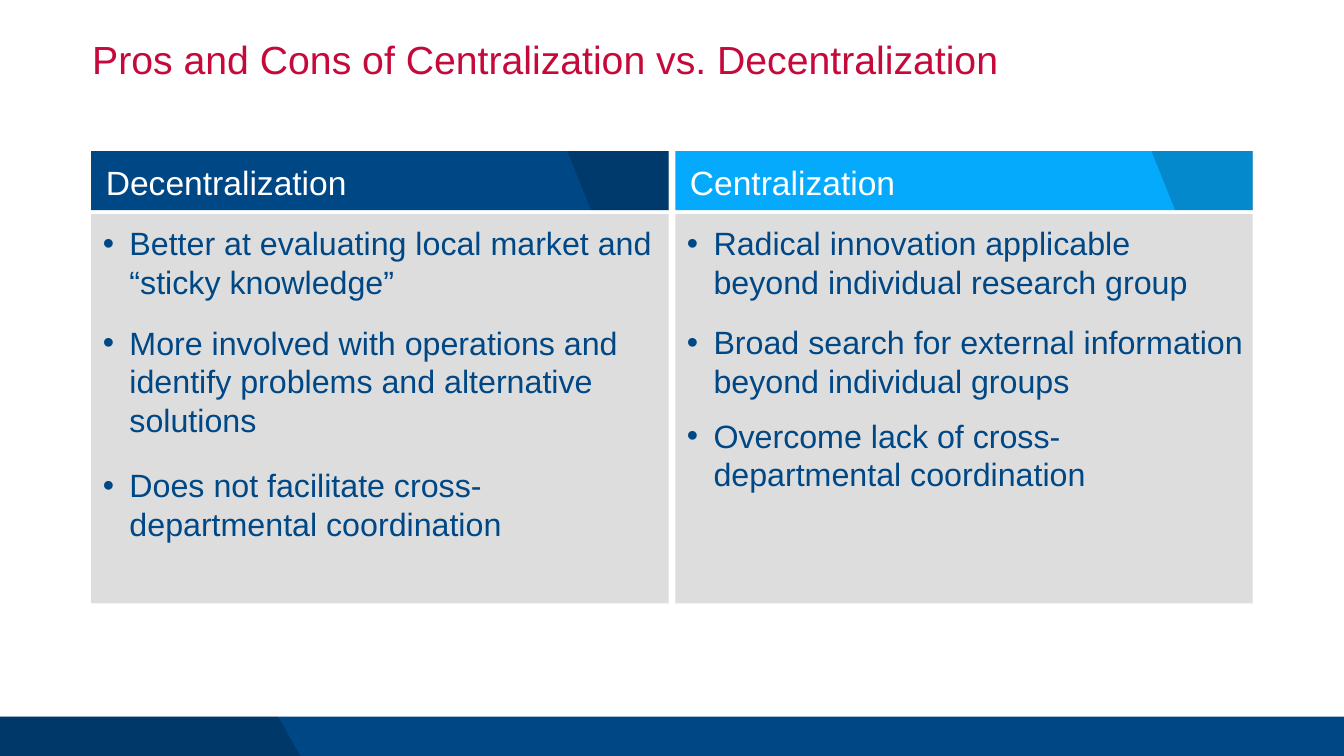
"""Build a slide comparing decentralization with centralization."""
import dataclasses

import lxml.etree
import pptx
import pptx.dml.color
import pptx.enum.shapes
import pptx.oxml.ns
import pptx.util

PX = 9144
SLIDE_WIDTH, SLIDE_HEIGHT = 2667, 1500
COLUMN_WIDTH, HEADER_TOP, HEADER_HEIGHT = 1146, 300, 117
BODY_TOP, BODY_HEIGHT = 425, 772
FOOTER_TOP = 1422


@dataclasses.dataclass(frozen=True)
class Theme:
    """Hold the colours and type sizes of the slide."""
    font: str = "Arial"
    navy: str = "004785"
    sky: str = "06AAFC"
    panel: str = "DDDDDD"
    title: str = "C5093B"
    white: str = "FFFFFF"
    shade: str = "000000"
    title_size: int = 56
    header_size: int = 48
    body_size: int = 46


THEME = Theme()

COLUMNS = [
    {"left": 181, "heading": "Decentralization", "color": THEME.navy,
     "text_width": 1146, "points": [
         (444, "Better at evaluating local market and “sticky knowledge”"),
         (641, "More involved with operations and identify problems and alternative solutions"),
         (924, "Does not facilitate cross-departmental coordination")]},
    {"left": 1340, "heading": "Centralization", "color": THEME.sky,
     "text_width": 1127, "points": [
         (444, "Radical innovation applicable beyond individual research group"),
         (640, "Broad search for external information beyond individual groups"),
         (825, "Overcome lack of cross-departmental coordination")]},
]


def px(length):
    """Turn px into EMU."""
    return pptx.util.Emu(length * PX)


def paint(shape, color, alpha=None):
    """Give a shape a flat fill, optionally with an opacity in percent."""
    shape.shadow.inherit = False
    shape.line.fill.background()
    shape.fill.solid()
    shape.fill.fore_color.rgb = pptx.dml.color.RGBColor.from_string(color)
    if alpha is not None:
        tint = shape.fill._xPr.find(".//" + pptx.oxml.ns.qn("a:srgbClr"))
        lxml.etree.SubElement(tint, pptx.oxml.ns.qn("a:alpha"), val=str(alpha * 1000))


def add_panel(slide, left, top, width, height, color):
    """Add a plain filled rectangle."""
    panel = slide.shapes.add_shape(
        pptx.enum.shapes.MSO_SHAPE.RECTANGLE, px(left), px(top), px(width), px(height))
    paint(panel, color)


def add_shade(slide, corners, alpha):
    """Add a translucent dark polygon through the given corners."""
    builder = slide.shapes.build_freeform(*corners[0], scale=PX)
    builder.add_line_segments(corners[1:], close=True)
    paint(builder.convert_to_shape(), THEME.shade, alpha)


def add_text(slide, text, left, top, width, height, *, size, color,
             margin=0, indent=0, bullet=None, line_spacing=None):
    """Add a one-paragraph text box in the given format."""
    box = slide.shapes.add_textbox(px(left), px(top), px(width), px(height))
    frame = box.text_frame
    frame.word_wrap = True
    frame.margin_left = frame.margin_top = frame.margin_right = frame.margin_bottom = 0
    paragraph = frame.paragraphs[0]
    paragraph.text = text
    properties = paragraph._p.get_or_add_pPr()
    properties.set("marL", str(px(margin)))
    properties.set("indent", str(px(indent)))
    if bullet:
        lxml.etree.SubElement(properties, pptx.oxml.ns.qn("a:buFont"), typeface=THEME.font)
        lxml.etree.SubElement(properties, pptx.oxml.ns.qn("a:buChar"), char=bullet)
    if line_spacing:
        paragraph.line_spacing = line_spacing
    font = paragraph.font
    font.name = THEME.font
    font.size = pptx.util.Pt(size)
    font.color.rgb = pptx.dml.color.RGBColor.from_string(color)


def add_column(slide, left, heading, color, text_width, points):
    """Add a headed panel with its bullet points."""
    right = left + COLUMN_WIDTH
    header_bottom = HEADER_TOP + HEADER_HEIGHT
    add_panel(slide, left, BODY_TOP, COLUMN_WIDTH, BODY_HEIGHT, THEME.panel)
    add_panel(slide, left, HEADER_TOP, COLUMN_WIDTH, HEADER_HEIGHT, color)
    add_shade(slide, [(right, HEADER_TOP), (right - 201, HEADER_TOP),
                      (right - 154, header_bottom), (right, header_bottom)], 19)
    add_text(slide, heading, left - 4, 321, 733, 74, size=THEME.header_size,
             color=THEME.white, indent=33)
    for top, point in points:
        add_text(slide, point, left, top, text_width, 168, size=THEME.body_size,
                 color=THEME.navy, margin=76, indent=-53, bullet="•")


def add_footer(slide):
    """Add the bottom band with its darker slanted end."""
    add_panel(slide, 0, FOOTER_TOP, SLIDE_WIDTH, SLIDE_HEIGHT - FOOTER_TOP, THEME.navy)
    add_shade(slide, [(0, FOOTER_TOP), (552, FOOTER_TOP),
                      (596, SLIDE_HEIGHT), (0, SLIDE_HEIGHT)], 20)


def main():
    """Build and save the slide."""
    presentation = pptx.Presentation()
    presentation.slide_width = px(SLIDE_WIDTH)
    presentation.slide_height = px(SLIDE_HEIGHT)
    slide = presentation.slides.add_slide(presentation.slide_layouts[6])
    add_footer(slide)
    add_text(slide, "Pros and Cons of Centralization vs. Decentralization",
             183, 80, 2300, 105, size=THEME.title_size, color=THEME.title,
             line_spacing=0.9)
    for column in COLUMNS:
        add_column(slide, **column)
    presentation.save("out.pptx")


if __name__ == "__main__":
    main()
